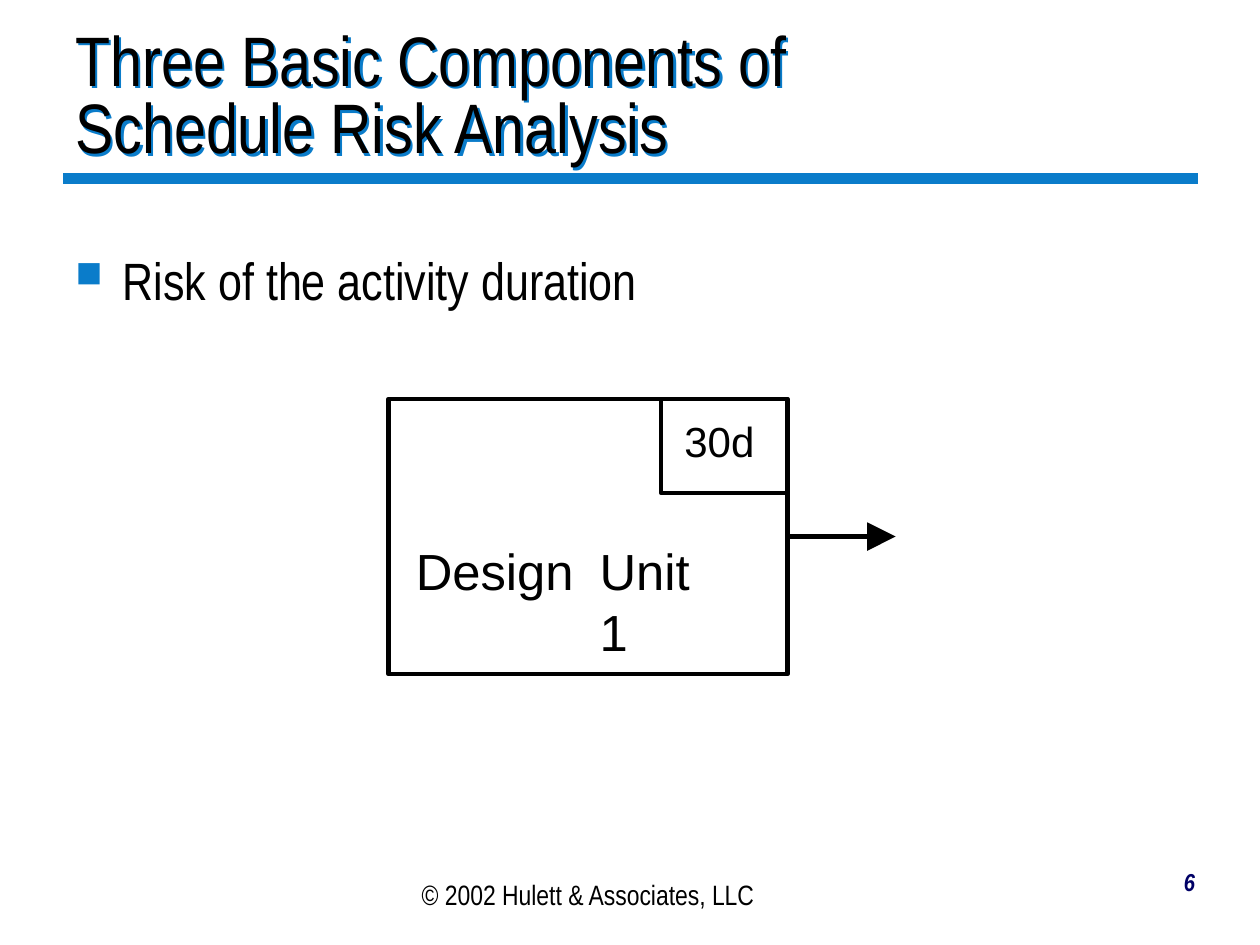
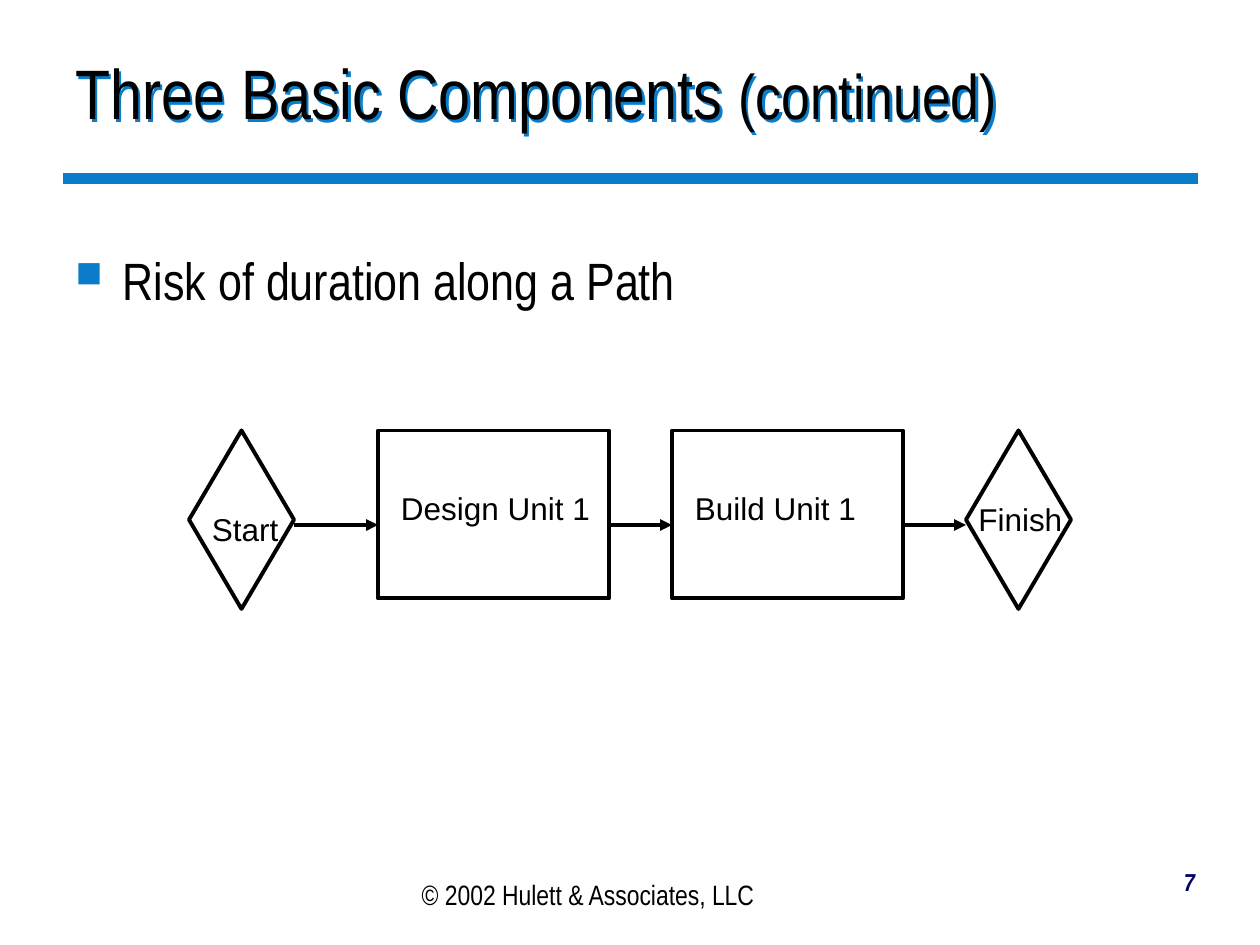
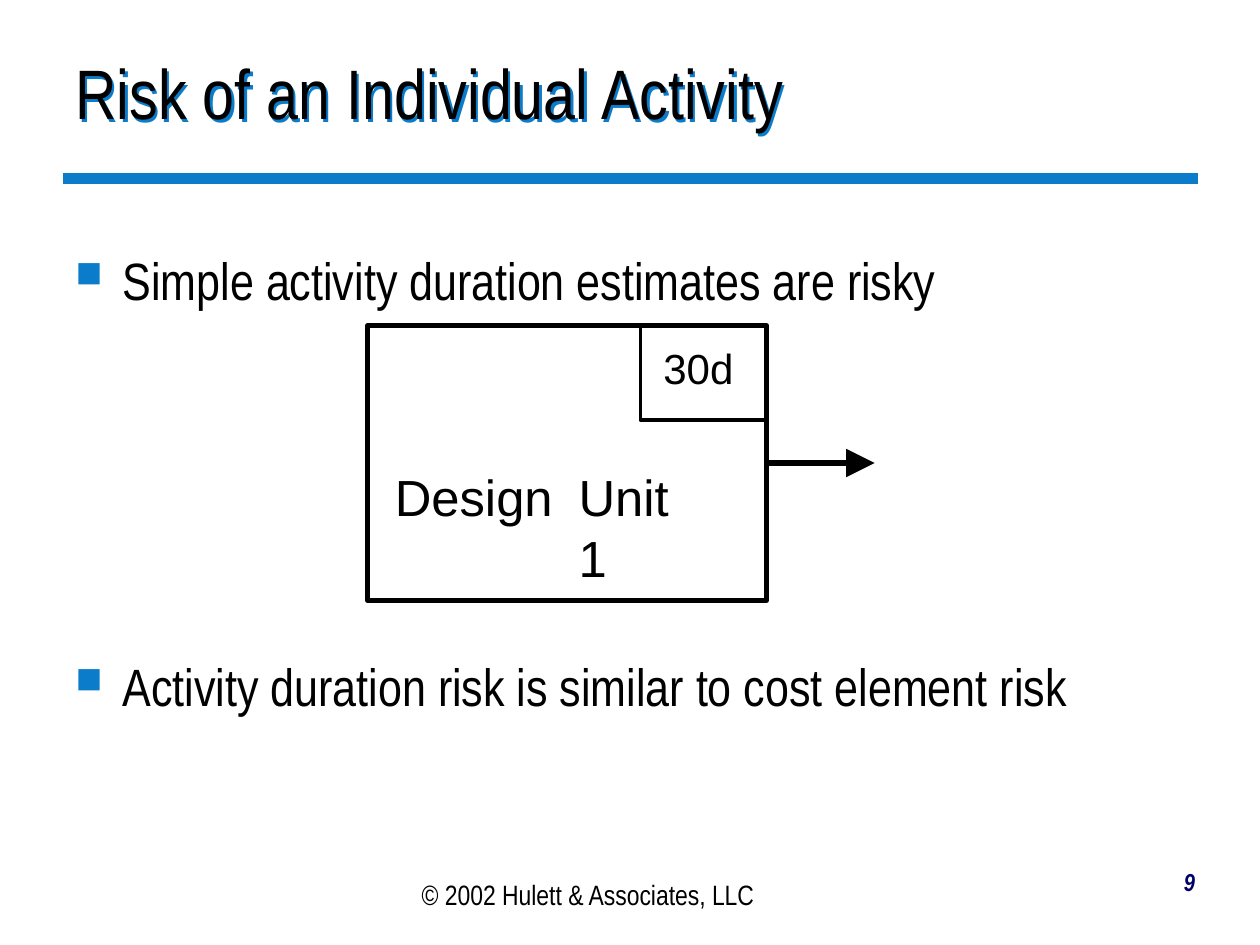
from dataclasses import dataclass
from typing import Optional

from lxml.etree import SubElement
from pptx import Presentation
from pptx.dml.color import RGBColor
from pptx.enum.shapes import MSO_CONNECTOR as Connector, MSO_SHAPE as Preset
from pptx.enum.text import MSO_ANCHOR as Anchor, PP_ALIGN as Align
from pptx.oxml.ns import qn
from pptx.util import Emu, Inches, Pt

WIDTH, HEIGHT = Inches(10), Inches(7.5)
COLUMNS, ROWS = 120, 90
BLACK, BLUE, NAVY = "000000", "0A7CCA", "000066"
HEADING_FONT, DIAGRAM_FONT = "Arial Narrow", "Arial"
COPYRIGHT = "© 2002 Hulett & Associates, LLC"


@dataclass(frozen=True)
class Box:
    """A rectangle measured in grid columns and rows."""
    column: float
    row: float
    columns: float
    rows: float


@dataclass(frozen=True)
class Run:
    """Words with their size in points."""
    text: str
    size: float


@dataclass(frozen=True)
class Bullet:
    """A bulleted statement and the points of space above it."""
    text: str
    space_before: float = 0


@dataclass(frozen=True)
class Step:
    """A diagram node and the place of its label."""
    preset: Preset
    outline: Box
    label: str
    label_box: Box


TITLE_BOX = Box(6, 2, 109, 15)
BODY_BOX = Box(6, 23, 109, 55)
COPYRIGHT_BOX = Box(37, 83, 38, 4.4)
NUMBER_BOX = Box(86, 82, 29, 6)
RULE_ROW, RULE_START, RULE_END = 17, 6, 114.1
ARROW_ROW = 50
PATH_STEPS = [
    Step(Preset.DIAMOND, Box(18, 41, 10, 17), "Start", Box(19, 48, 9, 4.8)),
    Step(Preset.RECTANGLE, Box(36, 41, 22, 16), "Design Unit 1", Box(37, 46, 21, 4.8)),
    Step(Preset.RECTANGLE, Box(64, 41, 22, 16), "Build Unit 1", Box(65, 46, 20, 4.8)),
    Step(Preset.DIAMOND, Box(92, 41, 10, 17), "Finish", Box(92, 47, 11, 4.8)),
]


def color(value: str) -> RGBColor:
    """Turn a hex string into a colour."""
    return RGBColor.from_string(value)


def across(columns: float) -> Emu:
    """Convert grid columns to a length."""
    return Emu(round(WIDTH * columns / COLUMNS))


def down(rows: float) -> Emu:
    """Convert grid rows to a length."""
    return Emu(round(HEIGHT * rows / ROWS))


def place(box: Box) -> tuple[Emu, Emu, Emu, Emu]:
    """Give a box as left, top, width and height."""
    return across(box.column), down(box.row), across(box.columns), down(box.rows)


def add_run(paragraph, text: str, *, size: float, font: str = DIAGRAM_FONT,
            fill: str = BLACK, bold: bool = False, italic: bool = False) -> None:
    """Append formatted words to a paragraph."""
    run = paragraph.add_run()
    run.text = text
    run.font.size, run.font.name = Pt(size), font
    run.font.bold, run.font.italic = bold, italic
    run.font.color.rgb = color(fill)


def add_frame(slide, box: Box, *, wrap: bool = True, inset: bool = True):
    """Add an empty text box."""
    shape = slide.shapes.add_textbox(*place(box))
    frame = shape.text_frame
    frame.word_wrap = wrap
    if not inset:
        frame.margin_left = frame.margin_right = 0
        frame.margin_top = frame.margin_bottom = 0
    return shape


def add_text(slide, text: str, box: Box, *, align: Align = Align.LEFT,
             wrap: bool = True, inset: bool = True, **style) -> None:
    """Add a text box holding one formatted paragraph."""
    frame = add_frame(slide, box, wrap=wrap, inset=inset).text_frame
    paragraph = frame.paragraphs[0]
    paragraph.alignment = align
    add_run(paragraph, text, **style)


def add_outline(slide, preset: Preset, box: Box, weight: float = 2.25):
    """Add an unfilled shape with a black outline."""
    shape = slide.shapes.add_shape(preset, *place(box))
    shape.shadow.inherit = False
    shape.fill.background()
    shape.line.color.rgb = color(BLACK)
    shape.line.width = Pt(weight)
    return shape


def add_line(slide, start: float, end: float, row: float, *, weight: float = 2.25,
             fill: str = BLACK, head: Optional[str] = None):
    """Add a level line, with an arrowhead of the given size if any."""
    line = slide.shapes.add_connector(
        Connector.STRAIGHT, across(start), down(row), across(end), down(row))
    line.line.color.rgb = color(fill)
    line.line.width = Pt(weight)
    if head:
        SubElement(line.line._get_or_add_ln(), qn("a:tailEnd"),
                   type="triangle", w=head, len=head)
    SubElement(line._element.spPr, qn("a:effectLst"))
    return line


def add_title(slide, lines: list[list[Run]], box: Box) -> None:
    """Add the title with its blue text shadow."""
    shape = add_frame(slide, box)
    effects = SubElement(shape._element.spPr, qn("a:effectLst"))
    shadow = SubElement(effects, qn("a:outerShdw"), dist="25400", dir="2700000", algn="ctr")
    SubElement(shadow, qn("a:srgbClr"), val=BLUE)
    shape.text_frame.vertical_anchor = Anchor.MIDDLE
    paragraph = shape.text_frame.paragraphs[0]
    paragraph.line_spacing = 0.8
    for index, runs in enumerate(lines):
        if index:
            paragraph.add_line_break()
        for run in runs:
            add_run(paragraph, run.text, size=run.size, font=HEADING_FONT)


def add_bullets(slide, bullets: list[Bullet]) -> None:
    """Add the square-bulleted body text."""
    frame = add_frame(slide, BODY_BOX).text_frame
    for index, bullet in enumerate(bullets):
        paragraph = frame.add_paragraph() if index else frame.paragraphs[0]
        properties = paragraph._p.get_or_add_pPr()
        indent = across(4.5)
        properties.set("marL", str(indent))
        properties.set("indent", str(-indent))
        bullet_color = SubElement(properties, qn("a:buClr"))
        SubElement(bullet_color, qn("a:srgbClr"), val=BLUE)
        SubElement(properties, qn("a:buSzPct"), val="70000")
        SubElement(properties, qn("a:buChar"), char="■")
        if bullet.space_before:
            paragraph.space_before = Pt(bullet.space_before)
        add_run(paragraph, bullet.text, size=30, font=HEADING_FONT)


def add_activity(slide, column: float, row: float) -> None:
    """Draw the activity card with its duration and outgoing arrow."""
    card_box = Box(column, row, 38, 26.2)
    card = add_outline(slide, Preset.RECTANGLE, card_box, 2.64)
    arrow = add_line(slide, column + card_box.columns, column + 48.3,
                     row + card_box.rows / 2, weight=3.25, head="lg")
    arrow.begin_connect(card, 3)
    for word, offset, width in (("Design", 2.6, 15.1), ("Unit 1", 20.1, 12.6)):
        add_text(slide, word, Box(column + offset, row + 13.4, width, 5.8),
                 wrap=False, inset=False, size=29)
    add_outline(slide, Preset.RECTANGLE, Box(column + 26, row, 12, 9))
    add_text(slide, "30d", Box(column + 27, row + 1, 10, 6), size=24)


def add_path(slide) -> None:
    """Draw the path of steps joined by arrows."""
    for step in PATH_STEPS:
        add_outline(slide, step.preset, step.outline)
    for before, after in zip(PATH_STEPS, PATH_STEPS[1:]):
        add_line(slide, before.outline.column + before.outline.columns,
                 after.outline.column, ARROW_ROW, head="med")
    for step in PATH_STEPS:
        add_text(slide, step.label, step.label_box, size=18)


def start_slide(presentation, number: int, title: list[list[Run]],
                bullets: list[Bullet], title_box: Box = TITLE_BOX):
    """Add a slide with rule, footer, title and bullets."""
    slide = presentation.slides.add_slide(presentation.slide_layouts[6])
    add_line(slide, RULE_START, RULE_END, RULE_ROW, weight=6.75, fill=BLUE)
    add_text(slide, COPYRIGHT, COPYRIGHT_BOX, align=Align.CENTER, size=16, font=HEADING_FONT)
    add_title(slide, title, title_box)
    add_bullets(slide, bullets)
    add_text(slide, str(number), NUMBER_BOX, align=Align.RIGHT, size=14,
             font=HEADING_FONT, fill=NAVY, bold=True, italic=True)
    return slide


def main() -> None:
    """Build and save the presentation."""
    presentation = Presentation()
    presentation.slide_width, presentation.slide_height = WIDTH, HEIGHT

    components = start_slide(
        presentation, 6,
        [[Run("Three Basic Components of", 40)], [Run("Schedule Risk Analysis", 40)]],
        [Bullet("Risk of the activity duration")])
    add_activity(components, 37, 38)

    path_risk = start_slide(
        presentation, 7,
        [[Run("Three Basic Components ", 40), Run("(continued)", 36)]],
        [Bullet("Risk of duration along a Path")], Box(6, 2, 92, 15))
    add_path(path_risk)

    activity_risk = start_slide(
        presentation, 9, [[Run("Risk of an Individual Activity", 40)]],
        [Bullet("Simple activity duration estimates are risky"),
         Bullet("Activity duration risk is similar to cost element risk", 196)])
    add_activity(activity_risk, 35, 31)

    presentation.save("out.pptx")


if __name__ == "__main__":
    main()
